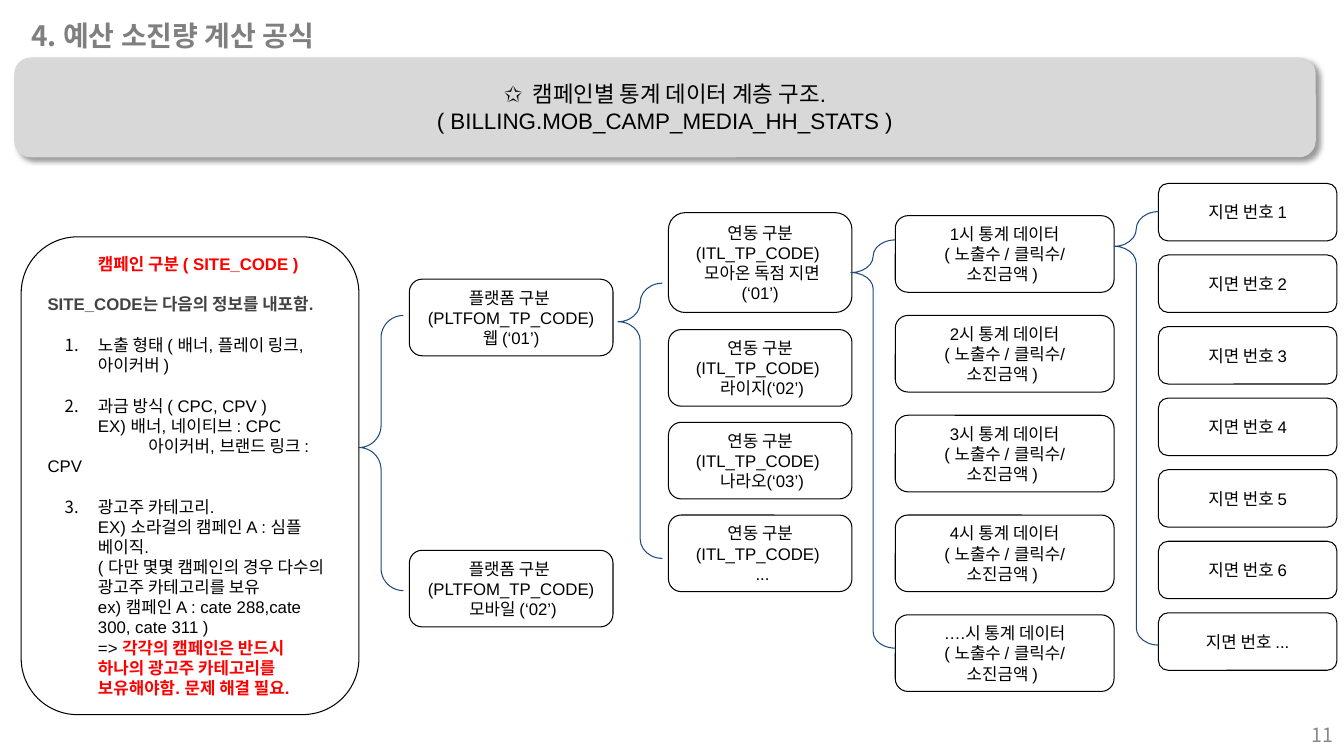
from dataclasses import dataclass

from lxml import etree
from pptx import Presentation
from pptx.dml.color import RGBColor
from pptx.enum.shapes import MSO_SHAPE
from pptx.enum.text import MSO_ANCHOR, PP_ALIGN
from pptx.oxml.ns import qn
from pptx.util import Inches, Pt

LEFT, CENTER, RIGHT = PP_ALIGN.LEFT, PP_ALIGN.CENTER, PP_ALIGN.RIGHT
MIDDLE = MSO_ANCHOR.MIDDLE
BANNER, BOX, BRACE = (MSO_SHAPE.ROUNDED_RECTANGLE,
                      MSO_SHAPE.FLOWCHART_ALTERNATE_PROCESS, MSO_SHAPE.LEFT_BRACE)


@dataclass(frozen=True)
class Theme:
    """Colours, fonts and type sizes of the slide."""
    black: str = "000000"
    red: str = "FF0000"
    dark: str = "434343"
    title: str = "7F7F7F"
    number: str = "888888"
    banner: str = "D8D8D8"
    brace: str = "1F497D"
    latin: str = "Arial"
    korean: str = "Noto Sans CJK KR"
    body_size: float = 12
    number_size: float = 14
    banner_size: float = 16
    title_size: float = 20
    gap: float = 14.5
    line_width: float = 0.75


@dataclass(frozen=True)
class Line:
    """One paragraph: its runs, indents in inches, list number and gap above."""
    runs: tuple
    margin: float = 0
    indent: float = 0
    number: int = 0
    gap: bool = False


class HierarchySlide:
    """Draws the elements of the hierarchy on one slide."""

    def __init__(self, slide, theme):
        self.slide = slide
        self.theme = theme

    def style_run(self, run, size, color, bold, latin):
        """Apply font, size and colour to a run."""
        run.font.name = latin
        run.font.size = Pt(size)
        run.font.bold = bold
        run.font.color.rgb = RGBColor.from_string(color)
        east_asian = etree.SubElement(run.font._element, qn("a:ea"))
        east_asian.set("typeface", self.theme.korean)

    def frame(self, shape, inset):
        """Prepare the text frame of a shape and return it."""
        text_frame = shape.text_frame
        text_frame.word_wrap = True
        text_frame.vertical_anchor = MIDDLE
        text_frame.margin_left = text_frame.margin_right = Inches(0.1)
        text_frame.margin_top = text_frame.margin_bottom = Inches(inset)
        return text_frame

    def set_text(self, shape, text, size, color, align=CENTER, bold=False, latin=None, inset=0.05):
        """Fill a shape with uniformly styled paragraphs."""
        text_frame = self.frame(shape, inset)
        text_frame.text = text
        for paragraph in text_frame.paragraphs:
            paragraph.alignment = align
            for run in paragraph.runs:
                self.style_run(run, size, color, bold, latin or self.theme.latin)

    def label(self, place, text, size, color, align, bold=False):
        """Add a text box in the Korean font."""
        shape = self.slide.shapes.add_textbox(*map(Inches, place))
        self.set_text(shape, text, size, color, align, bold, self.theme.korean)

    def shape(self, kind, place, line=None, fill=None):
        """Add a preset shape with an optional line and fill."""
        shape = self.slide.shapes.add_shape(kind, *map(Inches, place))
        shape.shadow.inherit = False
        if fill:
            shape.fill.solid()
            shape.fill.fore_color.rgb = RGBColor.from_string(fill)
        else:
            shape.fill.background()
        if line:
            shape.line.color.rgb = RGBColor.from_string(line)
            shape.line.width = Pt(self.theme.line_width)
        else:
            shape.line.fill.background()
        return shape

    def banner(self, place, text):
        """Add the shaded heading bar with its soft shadow."""
        shape = self.shape(BANNER, place, fill=self.theme.banner)
        effects = shape._element.spPr.find(qn("a:effectLst"))
        shadow = etree.SubElement(effects, qn("a:outerShdw"), blurRad=str(Pt(4)),
                                  dist=str(Pt(3)), dir="2700000", algn="tl", rotWithShape="0")
        color = etree.SubElement(shadow, qn("a:srgbClr"), val=self.theme.black)
        etree.SubElement(color, qn("a:alpha"), val="40000")
        self.set_text(shape, text, self.theme.banner_size, self.theme.black)

    def box(self, place, text):
        """Add an outlined box with centred text."""
        shape = self.shape(BOX, place, self.theme.black)
        self.set_text(shape, text, self.theme.body_size, self.theme.black, inset=0.1)

    def column(self, left, top, width, height, pitch, texts):
        """Stack boxes at an equal pitch."""
        for row, text in enumerate(texts):
            self.box((left, top + row * pitch, width, height), text)

    def brace(self, left, top, height, point):
        """Add a left brace whose point sits at a share of its height."""
        shape = self.shape(BRACE, (left, top, 0.44, height), self.theme.brace)
        shape.adjustments[0] = 0.5
        shape.adjustments[1] = point

    def details(self, place, lines):
        """Add the outlined box that holds the numbered notes."""
        text_frame = self.frame(self.shape(BOX, place, self.theme.black), 0.1)
        for index, line in enumerate(lines):
            paragraph = text_frame.add_paragraph() if index else text_frame.paragraphs[0]
            paragraph.alignment = LEFT
            paragraph.space_before = Pt(self.theme.gap if line.gap else 0)
            properties = paragraph._p.get_or_add_pPr()
            properties.set("marL", str(Inches(line.margin)))
            properties.set("indent", str(Inches(line.indent)))
            if line.number:
                color = etree.SubElement(properties, qn("a:buClr"))
                etree.SubElement(color, qn("a:srgbClr"), val=self.theme.black)
                etree.SubElement(properties, qn("a:buFont"), typeface=self.theme.latin)
                etree.SubElement(properties, qn("a:buAutoNum"), type="arabicPeriod",
                                 startAt=str(line.number))
            for text, color, bold in line.runs:
                run = paragraph.add_run()
                run.text = text
                self.style_run(run, self.theme.body_size, color, bold, self.theme.latin)


def main():
    """Build the slide and save it."""
    presentation = Presentation()
    presentation.slide_width, presentation.slide_height = Inches(13.33), Inches(7.5)
    theme = Theme()
    page = HierarchySlide(presentation.slides.add_slide(presentation.slide_layouts[6]), theme)

    def plain(text):
        return ((text, theme.black, False),)

    def numbered(number, text):
        return Line(plain(text), 0.5, -0.33, number, True)

    page.label((10.32, 7.09, 3, 0.4), "11", theme.number_size, theme.number, RIGHT)
    page.banner((0.14, 0.57, 12.91, 0.99),
                "✩  캠페인별 통계 데이터 계층 구조.\n( BILLING.MOB_CAMP_MEDIA_HH_STATS )")
    page.label((0.21, 0.13, 4.93, 0.44), "4. 예산 소진량 계산 공식",
               theme.title_size, theme.title, LEFT, True)

    page.details((0.21, 2.35, 3.35, 4.74), [
        Line((("캠페인 구분 ( SITE_CODE )", theme.red, True),), indent=0.5),
        Line((("SITE_CODE는 다음의 정보를 내포함.", theme.dark, True),), gap=True),
        numbered(1, "노출 형태 ( 배너, 플레이 링크,아이커버 )"),
        numbered(2, "과금 방식 ( CPC, CPV )"),
        Line(plain("EX) 배너, 네이티브 : CPC"), indent=0.5),
        Line(plain("아이커버, 브랜드 링크 : CPV"), indent=1),
        numbered(3, "광고주 카테고리."),
        Line(plain("EX) 소라걸의 캠페인 A : 심플 베이직."), 0.5),
        Line(plain("( 다만 몇몇 캠페인의 경우 다수의 광고주 카테고리를 보유"), 0.5),
        Line(plain("ex) 캠페인 A : cate 288,cate 300, cate 311 )"), 0.5),
        Line(plain("=> ") + (("각각의 캠페인은 반드시 하나의 광고주 카테고리를 보유해야함. "
                              "문제 해결 필요.", theme.red, True),), 0.5),
    ])

    page.column(4.06, 2.77, 2.02, 0.76, 2.69, [
        f"플랫폼 구분 \n(PLTFOM_TP_CODE)\n{platform}"
        for platform in ("웹 (‘01’)", " 모바일 (‘02’)")])
    media = "연동 구분 (ITL_TP_CODE) \n "
    page.box((6.63, 2.11, 1.82, 0.99), media + "모아온 독점 지면 (‘01’)")
    page.column(6.63, 3.27, 1.82, 0.76, 0.92,
                [media + name for name in ("라이지(‘02’)", "나라오(‘03’)", "...")])
    page.column(8.88, 2.14, 2.17, 0.76, 0.99, [
        f"{hour}시 통계 데이터\n( 노출수 / 클릭수/ 소진금액 ) "
        for hour in ("1", "2", "3", "4", "….")])
    page.column(11.49, 1.82, 1.77, 0.57, 0.71,
                [f"지면 번호 {slot}" for slot in (1, 2, 3, 4, 5, 6, "...")])

    for brace in ((3.56, 3.13, 2.73, 0.48), (6.13, 2.81, 2.73, 0.14),
                  (8.44, 2.38, 4.05, 0.08), (11.05, 2.1, 4.3, 0.08)):
        page.brace(*brace)
    presentation.save("out.pptx")


if __name__ == "__main__":
    main()
